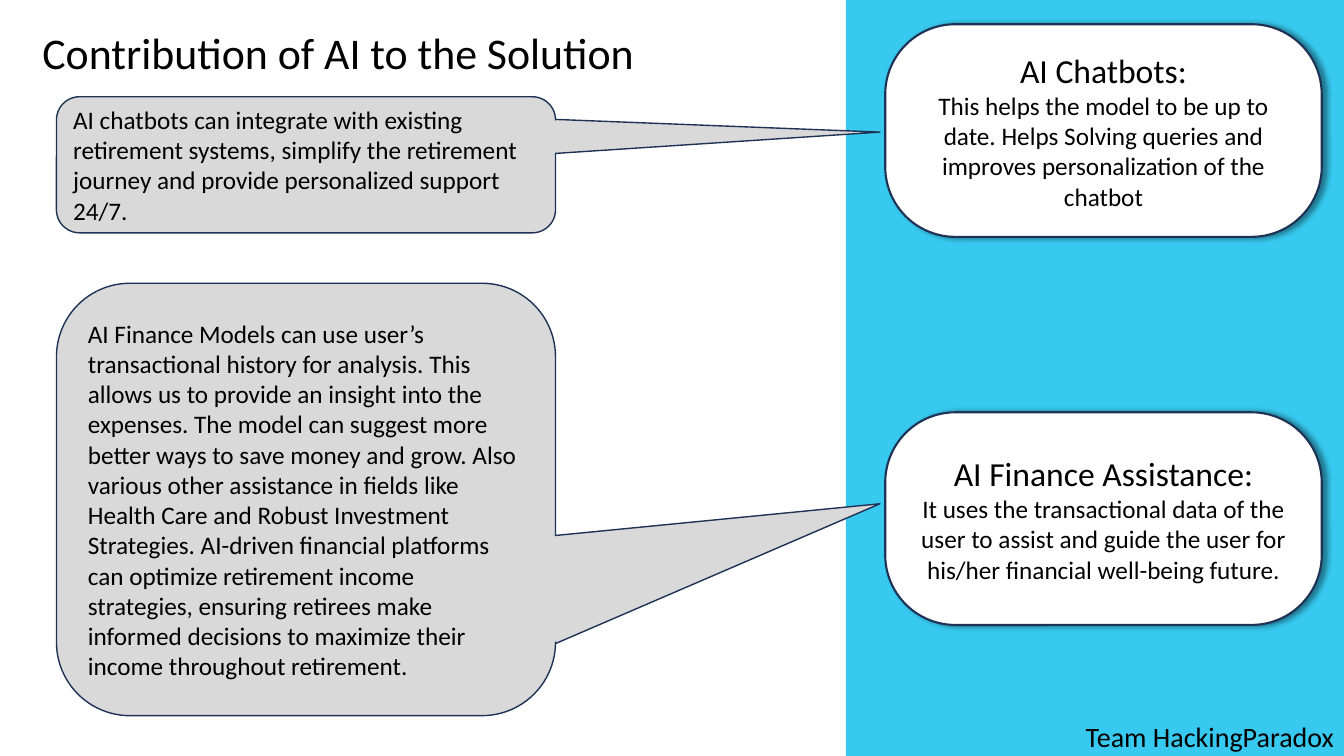
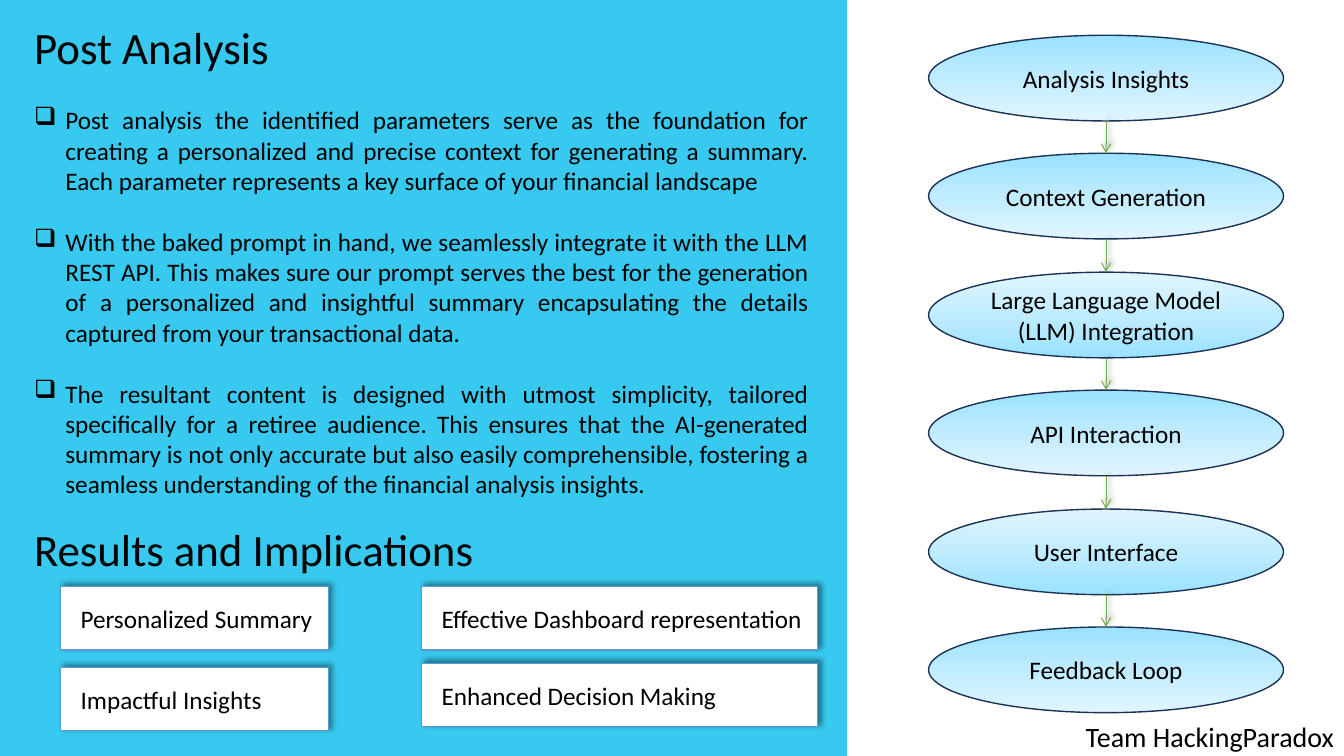
from dataclasses import dataclass
from typing import Optional

import pptx
import pptx.dml.color
import pptx.enum.shapes
import pptx.enum.text
import pptx.oxml
import pptx.oxml.ns
import pptx.util
from lxml import etree

PX = 9144  # EMU per px, 100 px to the inch
SLIDE_W, SLIDE_H = 1333, 750
FONT = "Calibri"
COLORS = {
    "sky": "37C9EF", "white": "FFFFFF", "black": "000000", "grey": "D9D9D9",
    "navy": "1E3256", "blue": "5B9BD5", "green": "70AD47",
}
GRADIENT = {0: "99E2FF", 50: "C0ECFF", 100: "E0F5FF"}

Shape = pptx.enum.shapes.MSO_SHAPE
Align = pptx.enum.text.PP_ALIGN
Anchor = pptx.enum.text.MSO_ANCHOR
qn = pptx.oxml.ns.qn


@dataclass(frozen=True)
class Box:
    x: int
    y: int
    w: int
    h: int


@dataclass(frozen=True)
class Para:
    text: str
    size: float = 18
    align: Align = Align.LEFT
    before: float = 0
    bullet: bool = False
    leading: Optional[float] = None


@dataclass(frozen=True)
class Card:
    box: Box
    heading: str
    body: str


@dataclass(frozen=True)
class Callout:
    box: Box
    tip: tuple[float, float]
    text: str


@dataclass(frozen=True)
class Label:
    box: Box
    text: str


def px(n: int) -> int:
    return pptx.util.Emu(n * PX)


def rgb(name: str) -> pptx.dml.color.RGBColor:
    return pptx.dml.color.RGBColor.from_string(COLORS[name])


# Text
def write(tf, paras: list[Para], anchor: Anchor, inset=(10, 5, 10, 5)) -> None:
    tf.word_wrap = True
    tf.vertical_anchor = anchor
    tf.margin_left, tf.margin_top, tf.margin_right, tf.margin_bottom = map(px, inset)
    for i, para in enumerate(paras):
        p = tf.paragraphs[0] if i == 0 else tf.add_paragraph()
        p.alignment = para.align
        if para.leading:
            p.line_spacing = pptx.util.Pt(para.leading)
        if para.before:
            p.space_before = pptx.util.Pt(para.before)
        if para.bullet:
            pPr = p._p.get_or_add_pPr()
            pPr.set("marL", str(px(31)))
            pPr.set("indent", str(-px(31)))
            etree.SubElement(pPr, qn("a:buChar")).set("char", "❑")
        r = p.add_run()
        r.text = para.text
        r.font.name = FONT
        r.font.size = pptx.util.Pt(para.size)
        r.font.color.rgb = rgb("black")


def add_text(s, box: Box, paras: list[Para], anchor=Anchor.TOP,
             inset=(10, 5, 10, 5)) -> None:
    sp = s.shapes.add_textbox(px(box.x), px(box.y), px(box.w), px(box.h))
    write(sp.text_frame, paras, anchor, inset)


# Shapes and effects
def add_shadow(effects, angle: int) -> None:
    shadow = etree.SubElement(effects, qn("a:outerShdw"), {
        "blurRad": str(pptx.util.Pt(4)), "dist": str(pptx.util.Pt(3)),
        "dir": str(angle * 60000), "algn": "ctr", "rotWithShape": "0"})
    color = etree.SubElement(shadow, qn("a:srgbClr"), val=COLORS["black"])
    etree.SubElement(color, qn("a:alpha"), val="40000")


def add_gradient(sp, angle: int) -> None:
    grad = pptx.oxml.parse_xml(
        f'<a:gradFill {pptx.oxml.ns.nsdecls("a")} rotWithShape="1"/>')
    stops = etree.SubElement(grad, qn("a:gsLst"))
    for pos, color in GRADIENT.items():
        gs = etree.SubElement(stops, qn("a:gs"), pos=str(pos * 1000))
        etree.SubElement(gs, qn("a:srgbClr"), val=color)
    etree.SubElement(grad, qn("a:lin"), ang=str(angle * 60000), scaled="0")
    sp._element.spPr.find(qn("a:prstGeom")).addnext(grad)


def add_shape(s, kind: Shape, box: Box, fill: Optional[str] = None,
              line: Optional[str] = None, width: float = 1,
              shadow: Optional[int] = None):
    sp = s.shapes.add_shape(kind, px(box.x), px(box.y), px(box.w), px(box.h))
    sp.shadow.inherit = False
    if fill:
        sp.fill.solid()
        sp.fill.fore_color.rgb = rgb(fill)
    if line:
        sp.line.color.rgb = rgb(line)
        sp.line.width = pptx.util.Pt(width)
    else:
        sp.line.fill.background()
    if shadow is not None:
        add_shadow(sp._element.spPr.find(qn("a:effectLst")), shadow)
    return sp


def add_arrow(s, x: int, top: int, bottom: int) -> None:
    line = s.shapes.add_connector(
        pptx.enum.shapes.MSO_CONNECTOR.STRAIGHT, px(x), px(top), px(x), px(bottom))
    line.line.color.rgb = rgb("green")
    line.line.width = pptx.util.Pt(0.75)
    spPr = line._element.spPr
    etree.SubElement(spPr.find(qn("a:ln")), qn("a:tailEnd"), type="arrow")
    add_shadow(etree.SubElement(spPr, qn("a:effectLst")), 315)


def add_card(s, card: Card) -> None:
    sp = add_shape(s, Shape.ROUNDED_RECTANGLE, card.box, "white", "navy", 1.5, 0)
    sp.adjustments[0] = 0.33
    write(sp.text_frame, [Para(card.heading, 24, Align.CENTER),
                          Para(card.body, align=Align.CENTER)], Anchor.MIDDLE)


def add_callout(s, callout: Callout) -> None:
    sp = add_shape(s, Shape.ROUNDED_RECTANGULAR_CALLOUT, callout.box, "grey", "navy")
    for i, value in enumerate((*callout.tip, 0.17)):
        sp.adjustments[i] = value
    write(sp.text_frame, [Para(callout.text)], Anchor.MIDDLE)


def add_label(s, label: Label) -> None:
    sp = add_shape(s, Shape.RECTANGLE, label.box, "white", "blue", 1, 315)
    write(sp.text_frame, [Para(label.text)], Anchor.MIDDLE, (20, 5, 0, 5))


def new_slide(prs, panel: Box):
    """A blank slide with its blue panel and the team footer."""
    s = prs.slides.add_slide(prs.slide_layouts[6])
    add_shape(s, Shape.RECTANGLE, panel, "sky")
    add_text(s, Box(1000, 710, SLIDE_W - 1000, 40),
             [Para("Team HackingParadox", 20, Align.RIGHT)], Anchor.MIDDLE)
    return s


# Slide 1
CARDS = [
    Card(Box(878, 24, 433, 211), "AI Chatbots:",
         "This helps the model to be up to date. Helps Solving queries and "
         "improves personalization of the chatbot"),
    Card(Box(878, 409, 433, 211), "AI Finance Assistance:",
         "It uses the transactional data of the user to assist and guide the "
         "user for his/her financial well-being future."),
]
CALLOUTS = [
    Callout(Box(56, 96, 495, 135), (1.15, -0.24),
            "AI chatbots can integrate with existing retirement systems, simplify "
            "the retirement journey and provide personalized support 24/7."),
    Callout(Box(56, 281, 495, 429), (1.15, 0.01),
            "AI Finance Models can use user’s transactional history for analysis. "
            "This allows us to provide an insight into the expenses. The model can "
            "suggest more better ways to save money and grow. Also various other "
            "assistance in fields like Health Care and Robust Investment Strategies. "
            "AI-driven financial platforms can optimize retirement income strategies, "
            "ensuring retirees make informed decisions to maximize their income "
            "throughout retirement."),
]


def contribution_slide(prs) -> None:
    s = new_slide(prs, Box(839, 0, SLIDE_W - 839, SLIDE_H))
    add_text(s, Box(42, 30, 728, 95),
             [Para("Contribution of AI to the Solution", 31.3, leading=34.5)],
             inset=(0, 0, 0, 0))
    for card in CARDS:
        add_card(s, card)
    for callout in CALLOUTS:
        add_callout(s, callout)


# Slide 2
POINTS = [
    "Post analysis the identified parameters serve as the foundation for creating "
    "a personalized and precise context for generating a summary. Each parameter "
    "represents a key surface of your financial landscape",
    "With the baked prompt in hand, we seamlessly integrate it with the LLM REST "
    "API. This makes sure our prompt serves the best for the generation of a "
    "personalized and insightful summary encapsulating the details captured from "
    "your transactional data.",
    "The resultant content is designed with utmost simplicity, tailored "
    "specifically for a retiree audience. This ensures that the AI-generated "
    "summary is not only accurate but also easily comprehensible, fostering a "
    "seamless understanding of the financial analysis insights.",
]
RESULTS = [
    Label(Box(60, 582, 266, 63), "Personalized Summary"),
    Label(Box(60, 662, 266, 63), "Impactful Insights"),
    Label(Box(418, 582, 393, 63), "Effective Dashboard representation"),
    Label(Box(418, 658, 393, 63), "Enhanced Decision Making"),
]
STEPS = ["Analysis Insights", "Context Generation",
         "Large Language Model (LLM) Integration", "API Interaction",
         "User Interface", "Feedback Loop"]
FLIPPED_STEPS = {2, 4}
STEP = Box(921, 35, 352, 85)
STEP_PITCH = 117.4


def add_flow(s) -> None:
    tops = [STEP.y + round(i * STEP_PITCH) for i in range(len(STEPS))]
    for i, (top, text) in enumerate(zip(tops, STEPS)):
        sp = add_shape(s, Shape.OVAL, Box(STEP.x, top, STEP.w, STEP.h), line="navy")
        add_gradient(sp, 270 if i in FLIPPED_STEPS else 90)
        write(sp.text_frame, [Para(text, align=Align.CENTER)], Anchor.MIDDLE)
    for top, following in zip(tops, tops[1:]):
        add_arrow(s, STEP.x + STEP.w // 2, top + STEP.h, following)


def analysis_slide(prs) -> None:
    s = new_slide(prs, Box(0, 0, 840, SLIDE_H))
    add_text(s, Box(24, 15, 788, 518), [Para("Post Analysis", 32)] + [
        Para(point, align=Align.JUSTIFY, before=22, bullet=True) for point in POINTS])
    add_flow(s)
    add_text(s, Box(24, 513, 774, 64), [Para("Results and Implications", 32)])
    for label in RESULTS:
        add_label(s, label)


def main() -> None:
    prs = pptx.Presentation()
    prs.slide_width, prs.slide_height = px(SLIDE_W), px(SLIDE_H)
    contribution_slide(prs)
    analysis_slide(prs)
    prs.save("out.pptx")


if __name__ == "__main__":
    main()
